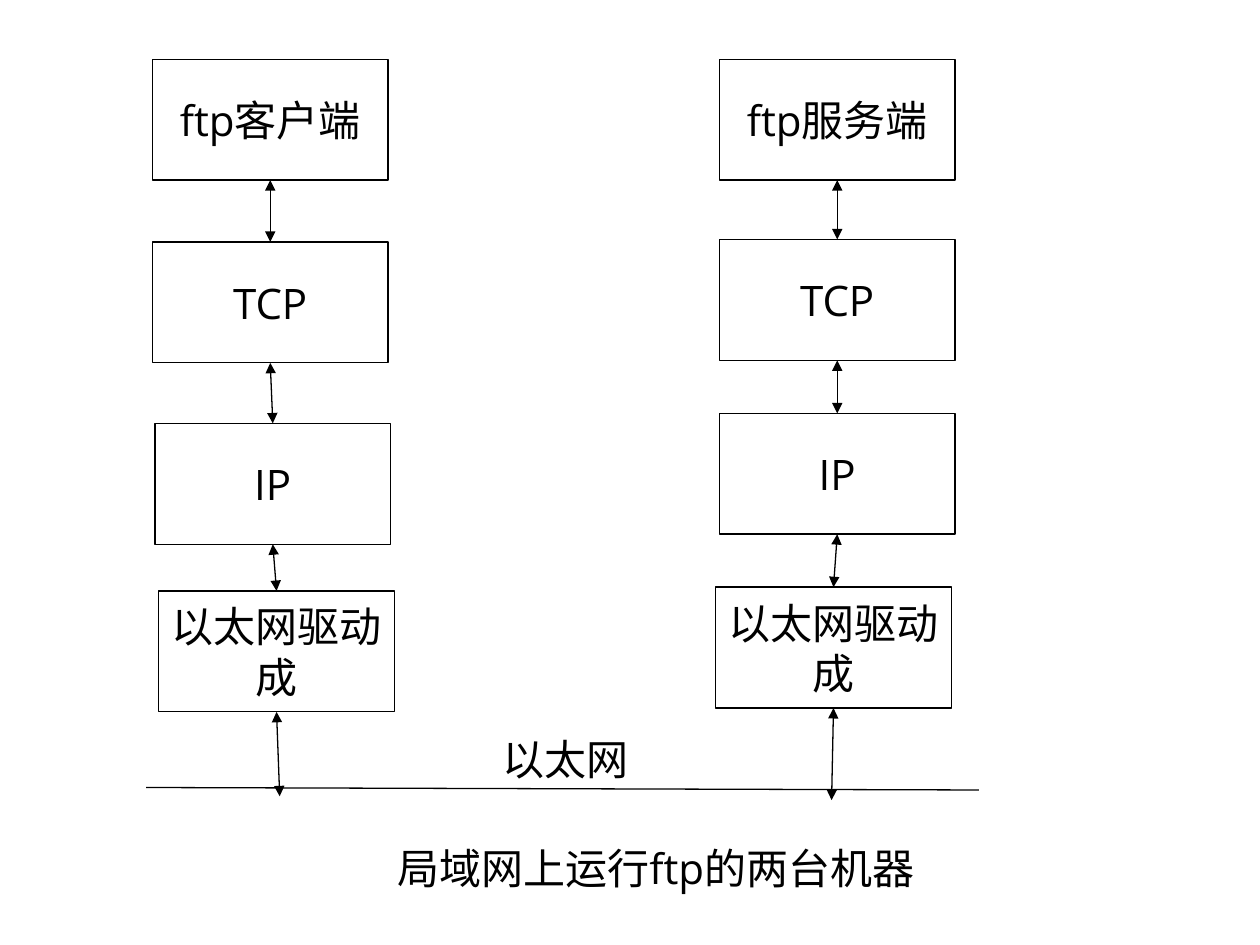
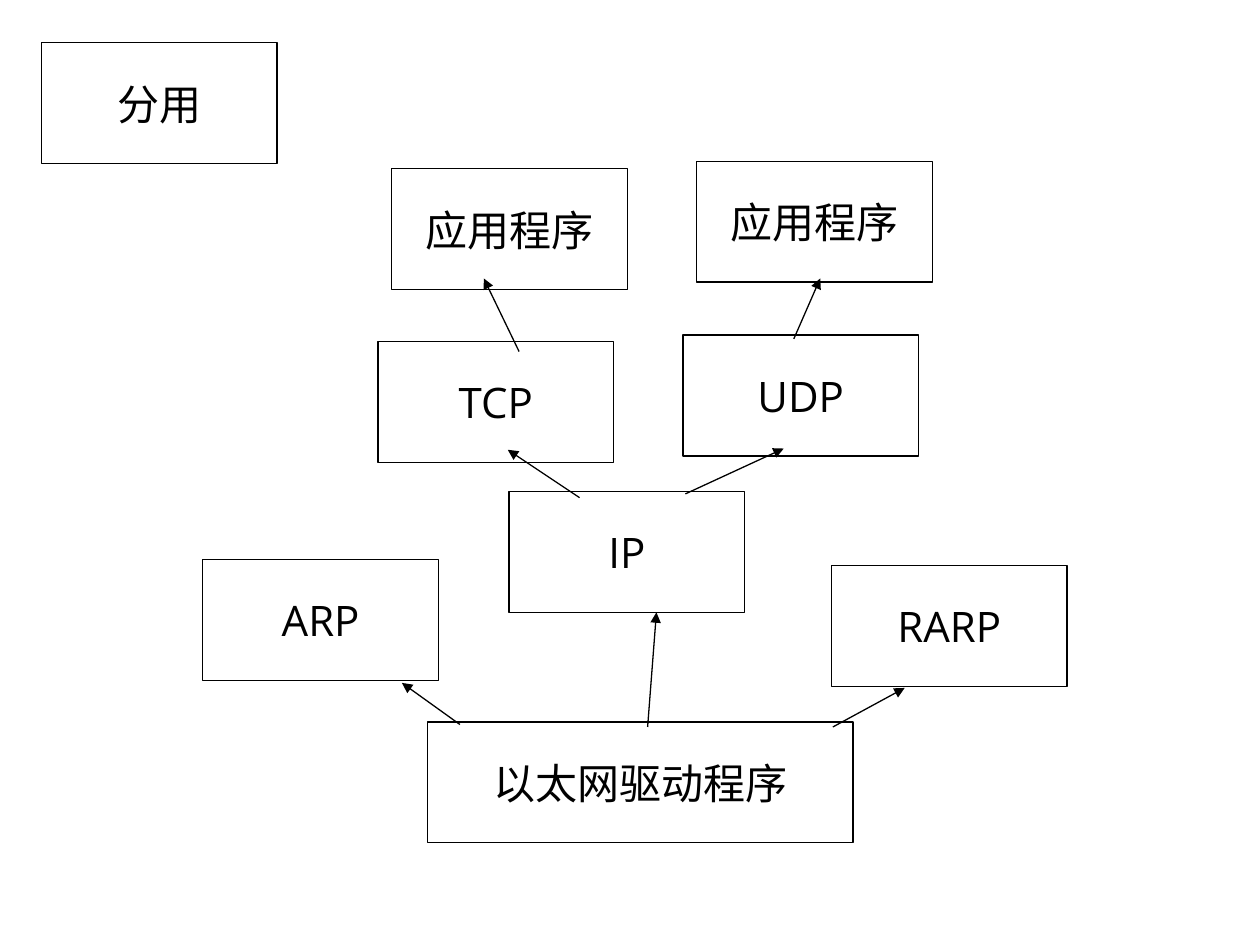
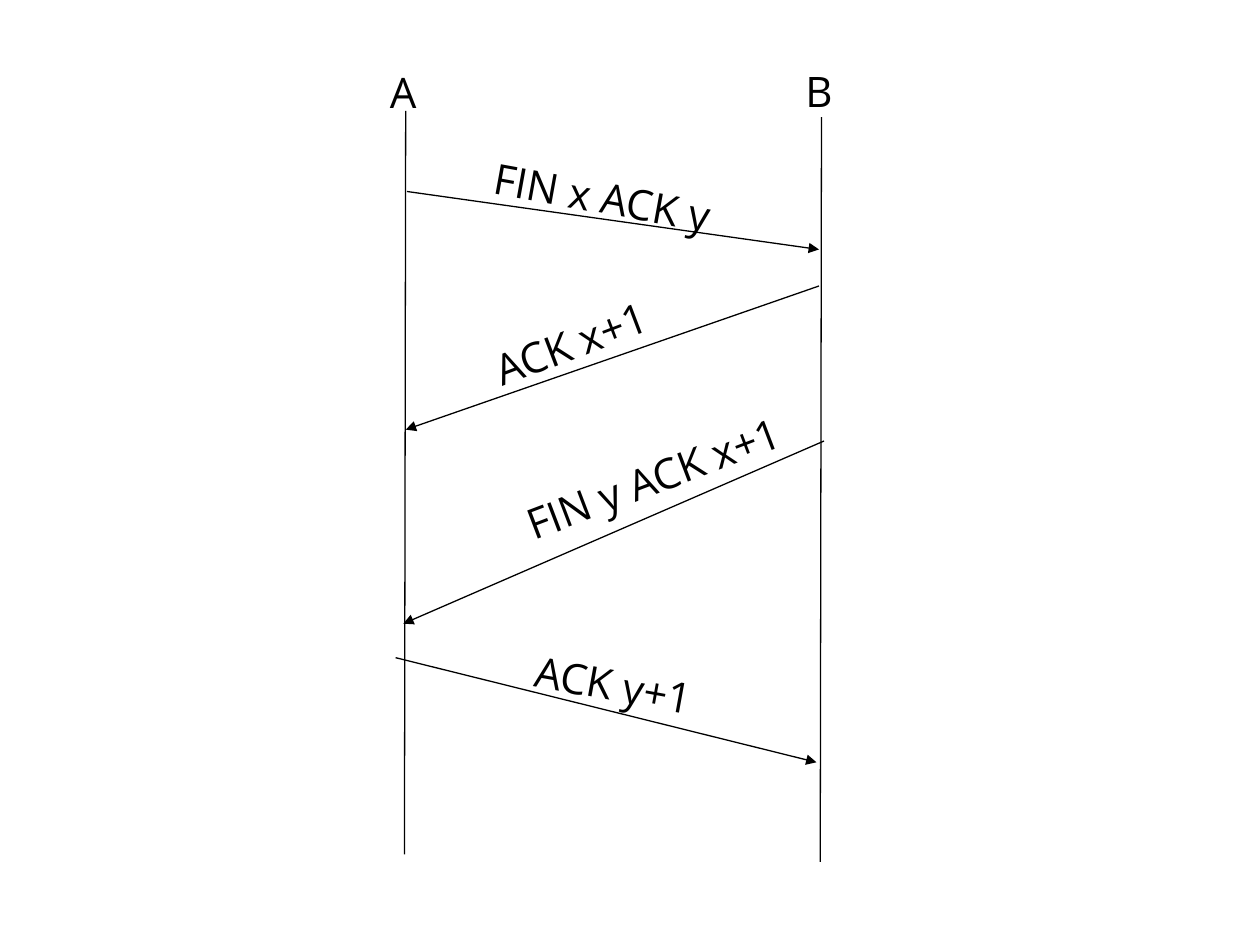
import pptx
import pptx.util
import pptx.dml.color
import pptx.enum.shapes
import pptx.enum.text
import pptx.oxml.ns
from lxml import etree

BLACK = pptx.dml.color.RGBColor(0, 0, 0)
WHITE = pptx.dml.color.RGBColor(255, 255, 255)
FONT = {"name": "Open Sans", "size": pptx.util.Pt(24)}
FRAME = {"word_wrap": True, "vertical_anchor": pptx.enum.text.MSO_ANCHOR.MIDDLE}
LINE_WIDTH = pptx.util.Pt(0.75)
RECTANGLE = pptx.enum.shapes.MSO_SHAPE.RECTANGLE
STRAIGHT = pptx.enum.shapes.MSO_CONNECTOR.STRAIGHT
BOTH_ENDS = ("headEnd", "tailEnd")
TOP, BOTTOM = 0, 2  # connection sites of a rectangle

prs = pptx.Presentation()
prs.slide_width = pptx.util.Inches(10)
prs.slide_height = pptx.util.Inches(7.5)
UNIT = prs.slide_width // 10  # the grid has 10 columns and 7.5 rows
BOX_W, BOX_H = 1.87, 0.96


def label(s, text, x, y, w=BOX_W, h=BOX_H, boxed=True, rotation=0):
    """Add centred text, in an outlined box or on its own."""
    place = [round(v * UNIT) for v in (x, y, w, h)]
    if boxed:
        sp = s.shapes.add_shape(RECTANGLE, *place)
        sp.shadow.inherit = False
        sp.fill.background()
        sp.line.color.rgb = BLACK
        sp.line.width = LINE_WIDTH
    else:
        sp = s.shapes.add_textbox(*place)
    sp.rotation = rotation
    tf = sp.text_frame
    for key, value in FRAME.items():
        setattr(tf, key, value)
    p = tf.paragraphs[0]
    p.alignment = pptx.enum.text.PP_ALIGN.CENTER
    r = p.add_run()
    r.text = text
    for key, value in FONT.items():
        setattr(r.font, key, value)
    r.font.color.rgb = BLACK
    return sp


def link(s, x1, y1, x2, y2, ends=("tailEnd",)):
    """Add a straight line with triangles at the given ends."""
    line = s.shapes.add_connector(STRAIGHT, *[round(v * UNIT) for v in (x1, y1, x2, y2)])
    line.line.color.rgb = BLACK
    line.line.width = LINE_WIDTH
    ln = line.line._get_or_add_ln()
    for end in ends:
        etree.SubElement(ln, pptx.oxml.ns.qn(f"a:{end}"), type="triangle")
    etree.SubElement(line._element.spPr, pptx.oxml.ns.qn("a:effectLst"))
    return line


slides = [prs.slides.add_slide(prs.slide_layouts[6]) for _ in range(3)]
for s in slides:
    s.background.fill.solid()
    s.background.fill.fore_color.rgb = WHITE

# Slide 1: two protocol stacks joined by an Ethernet
s = slides[0]
client = [("ftp客户端", 1.21, 0.47), ("TCP", 1.21, 1.92), ("IP", 1.23, 3.36), ("以太网驱动成", 1.26, 4.69)]
server = [("ftp服务端", 5.71, 0.47), ("TCP", 5.71, 1.9), ("IP", 5.71, 3.28), ("以太网驱动成", 5.68, 4.66)]
for stack, cable_x, cable_y in [(client, 2.22, 6.32), (server, 6.6, 6.35)]:
    layers = [label(s, *layer) for layer in stack]
    for upper, lower in zip(layers, layers[1:]):
        line = link(s, 0, 0, 1, 1, BOTH_ENDS)
        line.begin_connect(upper, BOTTOM)
        line.end_connect(lower, TOP)
    line = link(s, cable_x, cable_y - 1, cable_x, cable_y, BOTH_ENDS)
    line.begin_connect(layers[-1], BOTTOM)
link(s, 1.16, 6.25, 7.77, 6.27, ends=())
label(s, "以太网", 3.56, 5.63, 1.85, 0.79, boxed=False)
label(s, "局域网上运行ftp的两台机器", 1.11, 6.49, 8.19, 0.79, boxed=False)

# Slide 2: demultiplexing, from the driver up to the applications
s = slides[1]
for text, x, y in [
    ("分用", 0.33, 0.34),
    ("应用程序", 3.11, 1.34),
    ("应用程序", 5.53, 1.28),
    ("TCP", 3, 2.71),
    ("UDP", 5.42, 2.66),
    ("IP", 4.04, 3.9),
    ("ARP", 1.61, 4.44),
    ("RARP", 6.6, 4.49),
]:
    label(s, text, x, y)
label(s, "以太网驱动程序", 3.39, 5.73, w=3.38)
for arrow in [
    (5.14, 5.77, 5.21, 4.86),
    (3.65, 5.75, 3.19, 5.42),
    (6.61, 5.77, 7.18, 5.46),
    (4.6, 3.95, 4.03, 3.57),
    (5.44, 3.92, 6.22, 3.56),
    (4.12, 2.79, 3.84, 2.21),
    (6.3, 2.69, 6.51, 2.21),
]:
    link(s, *arrow)

# Slide 3: closing a connection between A and B
s = slides[2]
LABEL_H = 0.68
DOWN, UP = 10.3, 339.2  # slopes of the message labels
for host, x, y, lifeline in [
    ("A", 2.71, 0.39, (3.22, 0.88, 3.21, 6.78)),
    ("B", 6.01, 0.38, (6.52, 0.93, 6.51, 6.84)),
]:
    link(s, *lifeline, ends=())
    label(s, host, x, y, 0.98, LABEL_H, boxed=False)
for message, x, y, w, slope, arrow in [
    ("FIN x ACK y", 3.66, 1.22, 2.24, DOWN, (3.23, 1.52, 6.5, 1.98)),
    ("ACK x+1", 3.61, 2.38, 1.84, UP, (6.5, 2.27, 3.22, 3.41)),
    ("FIN y ACK x+1", 3.71, 3.45, 2.95, UP, (6.54, 3.5, 3.2, 4.95)),
    ("ACK y+1", 3.75, 5.09, 2.24, DOWN, (3.14, 5.22, 6.48, 6.05)),
]:
    link(s, *arrow)
    label(s, message, x, y, w, LABEL_H, boxed=False, rotation=slope)

prs.save("out.pptx")
